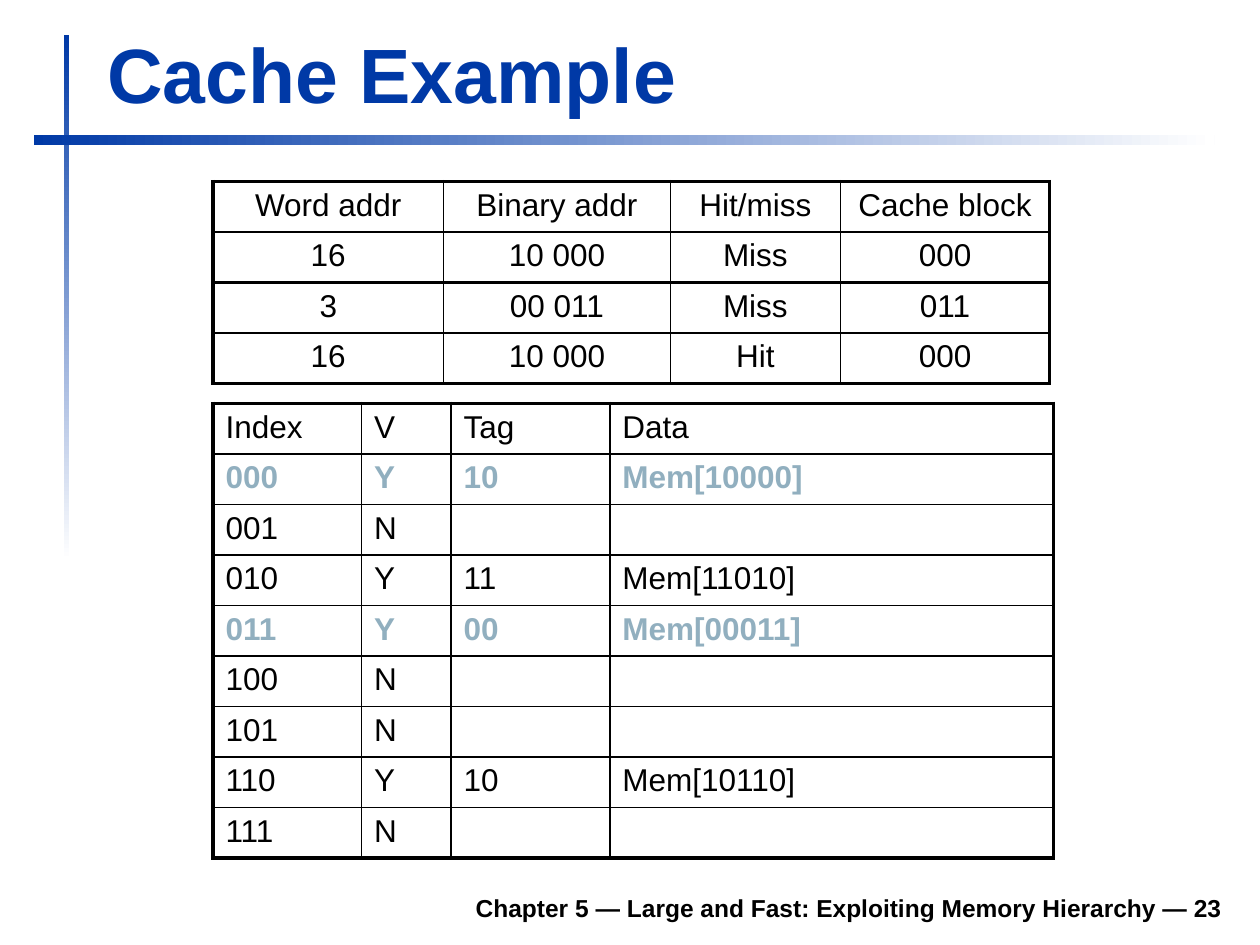
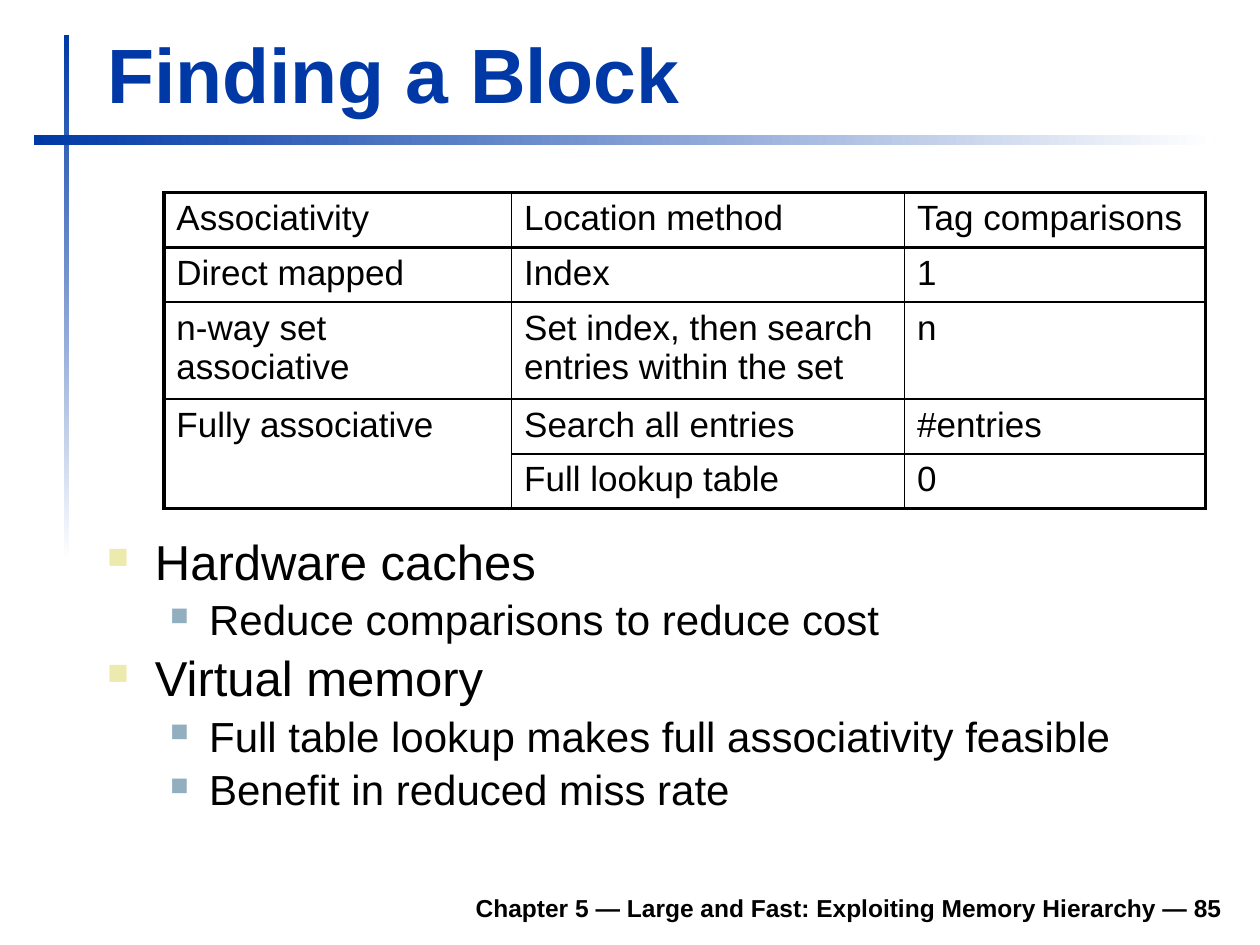
from lxml.etree import SubElement
from pptx import Presentation
from pptx.dml.color import RGBColor as Color
from pptx.enum.shapes import MSO_SHAPE as Preset
from pptx.enum.text import MSO_ANCHOR as Anchor, MSO_AUTO_SIZE as AutoSize, PP_ALIGN as Align
from pptx.oxml.ns import qn
from pptx.util import Inches, Pt

FOOTER = "Chapter 5 — Large and Fast: Exploiting Memory Hierarchy — {}"

SLIDES = [
    {
        "title": "Cache Example",
        "number": 23,
        "tables": [
            {
                "corner": (16.9, 42.67),
                "columns": (11.8, 7.1, 12.6, 35.2),
                "rows": [5.35] * 9,
                "size": "cell",
                "align": Align.LEFT,
                "inner": "thin",
                "marked": (1, 4),
                "cells": [
                    ("Index", "V", "Tag", "Data"),
                    ("000", "Y", "10", "Mem[10000]"),
                    ("001", "N", "", ""),
                    ("010", "Y", "11", "Mem[11010]"),
                    ("011", "Y", "00", "Mem[00011]"),
                    ("100", "N", "", ""),
                    ("101", "N", "", ""),
                    ("110", "Y", "10", "Mem[10110]"),
                    ("111", "N", "", ""),
                ],
            },
            {
                "corner": (16.9, 19.2),
                "columns": (18.3, 18, 13.5, 16.6),
                "rows": [5.35] * 4,
                "size": "cell",
                "align": Align.CENTER,
                "inner": "medium",
                "cells": [
                    ("Word addr", "Binary addr", "Hit/miss", "Cache block"),
                    ("16", "10 000", "Miss", "000"),
                    ("3", "00 011", "Miss", "011"),
                    ("16", "10 000", "Hit", "000"),
                ],
            },
        ],
    },
    {
        "title": "Finding a Block",
        "number": 85,
        "tables": [
            {
                "corner": (13, 20.4),
                "columns": (27.6, 31.2, 23.9),
                "rows": [5.75, 5.75, 10.27, 5.75, 5.75],
                "size": "large_cell",
                "align": Align.LEFT,
                "inner": "thin",
                "merge": ((3, 0), (4, 0)),
                "cells": [
                    ("Associativity", "Location method", "Tag comparisons"),
                    ("Direct mapped", "Index", "1"),
                    ("n-way set associative", "Set index, then search entries within the set", "n"),
                    ("Fully associative", "Search all entries", "#entries"),
                    ("", "Full lookup table", "0"),
                ],
            }
        ],
        "bullets": [
            (0, "Hardware caches"),
            (1, "Reduce comparisons to reduce cost"),
            (0, "Virtual memory"),
            (1, "Full table lookup makes full associativity feasible"),
            (1, "Benefit in reduced miss rate"),
        ],
    },
]

THEME = {
    "font": "Arial",
    "colors": {"title": "0039A6", "text": "000000", "marked": "91AFBF", "paper": "FFFFFF"},
    "sizes": {"title": 44, "footer": 14, "cell": 18, "large_cell": 20},
    "lines": {"thin": 1, "medium": 1.5, "thick": 2.25},
    "levels": [
        {"size": 28, "color": "ECEAAC", "margin": 0.38, "indent": -0.38, "before": 5.6},
        {"size": 24, "color": "91AFBF", "margin": 0.81, "indent": -0.31, "before": 4.8},
    ],
}

WIDTH, HEIGHT = Inches(10), Inches(7.5)
BANDS = [((5.1, 3.73, 0.4, 55.6), 270), ((2.7, 14.27, 93.7, 1.07), 0)]
TITLE_AREA = (7.5, 2.13, 90.3, 11.07)
BODY_AREA = (7.5, 56.27, 90.5, 34.67)
FOOTER_AREA = (18.5, 93.07, 79.5, 5.2)


def across(percent):
    return round(WIDTH * percent / 100)


def down(percent):
    return round(HEIGHT * percent / 100)


def area(left, top, width, height):
    return across(left), down(top), across(width), down(height)


def set_all(target, values):
    for name, value in values.items():
        setattr(target, name, value)


def write(paragraph, text, size, color="text", bold=False):
    run = paragraph.add_run()
    run.text = text
    set_all(run.font, {"name": THEME["font"], "size": Pt(size), "bold": bold})
    run.font.color.rgb = Color.from_string(THEME["colors"][color])


def move(shape, bounds):
    set_all(shape, dict(zip(("left", "top", "width", "height"), area(*bounds))))


def add_band(slide, bounds, angle):
    band = slide.shapes.add_shape(Preset.RECTANGLE, *area(*bounds))
    band.shadow.inherit = False
    band.line.fill.background()
    band.fill.gradient()
    band.fill.gradient_angle = angle
    for stop, position, color in zip(band.fill.gradient_stops, (0, 1), ("title", "paper")):
        stop.position = position
        stop.color.rgb = Color.from_string(THEME["colors"][color])


def add_title(slide, text):
    title = slide.shapes.title
    move(title, TITLE_AREA)
    set_all(title.text_frame, {"vertical_anchor": Anchor.BOTTOM, "auto_size": AutoSize.NONE})
    paragraph = title.text_frame.paragraphs[0]
    paragraph.alignment = Align.LEFT
    write(paragraph, text, THEME["sizes"]["title"], "title", True)


def add_footer(slide, number):
    frame = slide.shapes.add_textbox(*area(*FOOTER_AREA)).text_frame
    set_all(frame, {"word_wrap": True, "vertical_anchor": Anchor.BOTTOM})
    paragraph = frame.paragraphs[0]
    paragraph.alignment = Align.RIGHT
    write(paragraph, FOOTER.format(number), THEME["sizes"]["footer"], bold=True)


def add_bullet(paragraph, level):
    properties = paragraph._p.get_or_add_pPr()
    properties.set("marL", str(Inches(level["margin"])))
    properties.set("indent", str(Inches(level["indent"])))
    color = SubElement(properties, qn("a:buClr"))
    SubElement(color, qn("a:srgbClr"), val=level["color"])
    SubElement(properties, qn("a:buSzPct"), val="60000")
    SubElement(properties, qn("a:buFont"), typeface="Wingdings", charset="2")
    SubElement(properties, qn("a:buChar"), char="n")


def add_body(slide, bullets):
    body = slide.placeholders[1]
    move(body, BODY_AREA)
    frame = body.text_frame
    frame.auto_size = AutoSize.NONE
    for index, (depth, text) in enumerate(bullets):
        paragraph = frame.add_paragraph() if index else frame.paragraphs[0]
        level = THEME["levels"][depth]
        add_bullet(paragraph, level)
        before = Pt(level["before"] if index else 0)
        set_all(paragraph, {"level": depth, "line_spacing": 0.9, "space_before": before})
        write(paragraph, text, level["size"])


def set_borders(cell, weights):
    properties = cell._tc.get_or_add_tcPr()
    for index, (side, weight) in enumerate(zip("LRTB", weights)):
        width = str(Pt(THEME["lines"][weight]))
        line = SubElement(properties, qn(f"a:ln{side}"), w=width)
        fill = SubElement(line, qn("a:solidFill"))
        SubElement(fill, qn("a:srgbClr"), val=THEME["colors"]["text"])
        properties.insert(index, line)


def add_table(slide, data):
    heights, widths, cells = data["rows"], data["columns"], data["cells"]
    bounds = area(*data["corner"], sum(widths), sum(heights))
    table = slide.shapes.add_table(len(heights), len(widths), *bounds).table
    set_all(table, {"first_row": False, "horz_banding": False})
    for column, width in zip(table.columns, widths):
        column.width = across(width)
    for row, height in zip(table.rows, heights):
        row.height = down(height)

    upright = ["thick"] + ["thin"] * (len(widths) - 1) + ["thick"]
    level = ["thick", "medium"] + [data["inner"]] * (len(heights) - 2) + ["thick"]
    first, last = data.get("merge", ((0, 0), (0, 0)))
    if first != last:
        table.cell(*first).merge(table.cell(*last))

    for row, texts in enumerate(cells):
        marked = row in data.get("marked", ())
        for column, text in enumerate(texts):
            cell = table.cell(row, column)
            cell.fill.background()
            bottom = row + (cell.span_height if cell.is_merge_origin else 1)
            set_borders(cell, (upright[column], upright[column + 1], level[row], level[bottom]))
            if text:
                paragraph = cell.text_frame.paragraphs[0]
                paragraph.alignment = data["align"]
                color = "marked" if marked else "text"
                write(paragraph, text, THEME["sizes"][data["size"]], color, marked)


def main():
    presentation = Presentation()
    set_all(presentation, {"slide_width": WIDTH, "slide_height": HEIGHT})
    for content in SLIDES:
        layout = presentation.slide_layouts[1 if "bullets" in content else 5]
        slide = presentation.slides.add_slide(layout)
        for bounds, angle in BANDS:
            add_band(slide, bounds, angle)
        add_title(slide, content["title"])
        add_footer(slide, content["number"])
        if "bullets" in content:
            add_body(slide, content["bullets"])
        for data in content["tables"]:
            add_table(slide, data)
    presentation.save("out.pptx")


if __name__ == "__main__":
    main()
